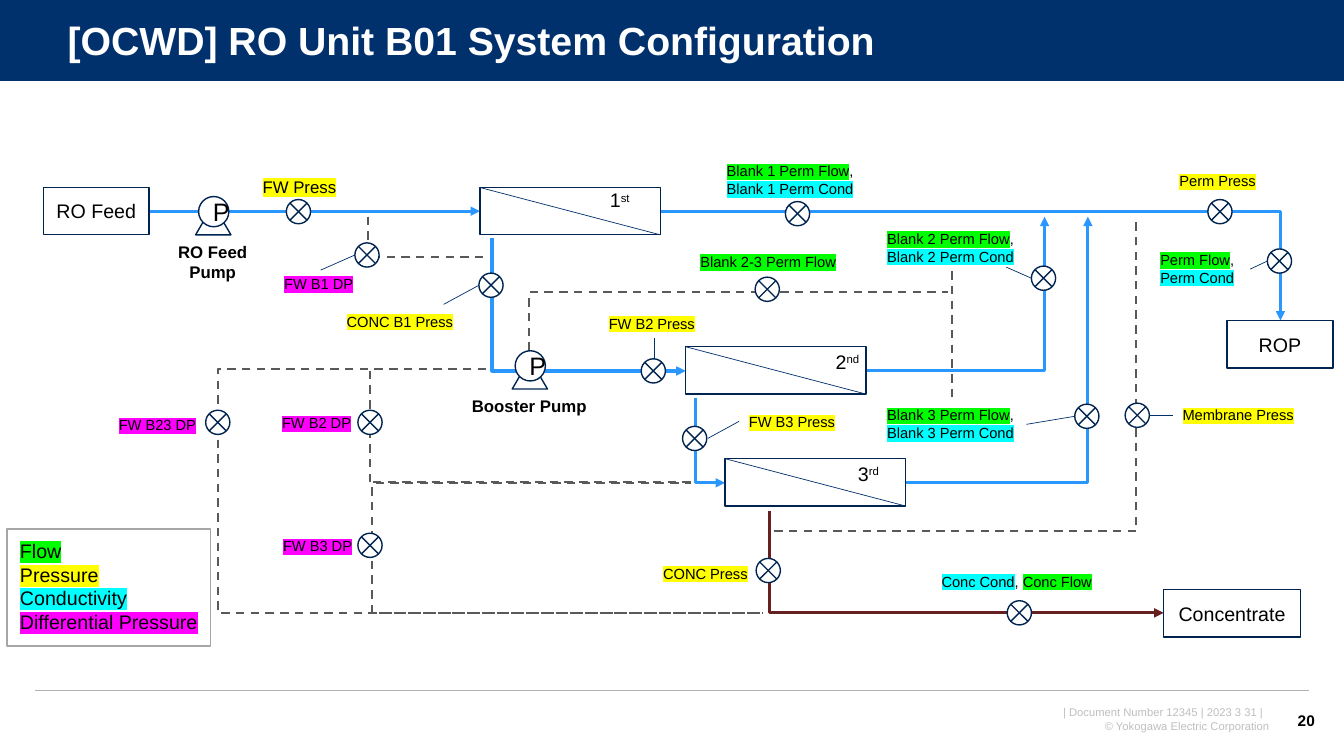
from lxml import etree
from pptx import Presentation
from pptx.dml.color import RGBColor
from pptx.enum import dml, shapes, text
from pptx.oxml import ns
from pptx.util import Inches, Pt

WHITE = RGBColor(0xFF, 0xFF, 0xFF)
BLACK = RGBColor(0, 0, 0)
NAVY = RGBColor(0x00, 0x31, 0x6C)
OUTLINE = RGBColor(0x00, 0x24, 0x50)
WATER = RGBColor(0x2A, 0x97, 0xFF)
BRINE = RGBColor(0x66, 0x20, 0x1F)
SIGNAL = RGBColor(0x59, 0x59, 0x59)
RULE = RGBColor(0xB2, 0xB2, 0xB2)
FRAME = RGBColor(0xA6, 0xA6, 0xA6)
FOOTER = RGBColor(0xBF, 0xBF, 0xBF)
FLOW = RGBColor(0x00, 0xFF, 0x00)
PRESSURE = RGBColor(0xFF, 0xFF, 0x00)
CONDUCTIVITY = RGBColor(0x00, 0xFF, 0xFF)
DIFFERENTIAL = RGBColor(0xFF, 0x00, 0xFF)

LEFT, CENTER, RIGHT = text.PP_ALIGN.LEFT, text.PP_ALIGN.CENTER, text.PP_ALIGN.RIGHT
TOP, MIDDLE = text.MSO_ANCHOR.TOP, text.MSO_ANCHOR.MIDDLE
KIND = shapes.MSO_SHAPE

deck = Presentation()
deck.slide_width, deck.slide_height = Inches(13.33), Inches(7.5)
page = deck.slides.add_slide(deck.slide_layouts[5])


def write(box, lines, size=10.5, color=BLACK, bold=False, align=LEFT, anchor=TOP, wrap=True):
    """Fill box with lines, each a list of (words, highlight colour or None)."""
    frame = box.text_frame
    frame.word_wrap = wrap
    frame.vertical_anchor = anchor
    for number, spans in enumerate(lines):
        para = frame.add_paragraph() if number else frame.paragraphs[0]
        para.alignment = align
        for words, highlight in spans:
            span = para.add_run()
            span.text = words
            span.font.size = Pt(size)
            span.font.bold = bold
            span.font.color.rgb = color
            if highlight is not None:
                mark = etree.SubElement(span._r.get_or_add_rPr(), ns.qn("a:highlight"))
                etree.SubElement(mark, ns.qn("a:srgbClr"), val=str(highlight))
            span.font.name = "Arial"


def route(start, end, color, width, via=None, arrow=False, dash=False):
    """Draw a line; via is its corner, or the x of its middle leg beyond both ends."""
    (x1, y1), (x2, y2) = start, end
    upright = isinstance(via, tuple) and via[0] == x1
    if upright:  # an upright first leg is a level one turned by 270 degrees
        x, y, dx, dy = (x1 + x2) / 2, (y1 + y2) / 2, (x2 - x1) / 2, (y2 - y1) / 2
        x1, y1, x2, y2 = x + dy, y - dx, x - dy, y + dx
    kind = shapes.MSO_CONNECTOR.ELBOW if via else shapes.MSO_CONNECTOR.STRAIGHT
    line = page.shapes.add_connector(kind, *(Inches(v) for v in (x1, y1, x2, y2)))
    line.line.color.rgb = color
    line.line.width = Pt(width)
    properties = line._element.spPr
    geometry = properties.find(ns.qn("a:prstGeom"))
    if isinstance(via, tuple):
        geometry.set("prst", "bentConnector2")
    elif via:
        guide = etree.SubElement(geometry.find(ns.qn("a:avLst")), ns.qn("a:gd"), name="adj1")
        guide.set("fmla", f"val {round((via - x1) / (x2 - x1) * 100000)}")
    if upright:
        properties.find(ns.qn("a:xfrm")).set("rot", str(270 * 60000))
    if dash:
        line.line.dash_style = dml.MSO_LINE.DASH
    if arrow:
        etree.SubElement(properties.find(ns.qn("a:ln")), ns.qn("a:tailEnd"), type="triangle")
    etree.SubElement(properties, ns.qn("a:effectLst"))
    return line


# Page furniture
band = page.shapes.add_shape(KIND.RECTANGLE, 0, 0, deck.slide_width, Inches(0.81))
band.shadow.inherit = False
band.fill.solid()
band.fill.fore_color.rgb = NAVY
band.line.fill.background()
title = page.shapes.title
title.left, title.top, title.width, title.height = (Inches(v) for v in (0.57, 0.14, 12.47, 0.57))
write(title, [[("[OCWD] RO Unit B01 System Configuration", None)]], size=28, color=WHITE,
      bold=True, anchor=MIDDLE)
title.text_frame.paragraphs[0].line_spacing = 0.9
page.shapes._spTree.append(title._element)
route((0, 0.81), (13.33, 0.81), WHITE, 0.75)
route((0.35, 6.85), (12.98, 6.85), RULE, 1)
footer = page.shapes.add_textbox(Inches(9.48), Inches(6.95), Inches(3.21), Inches(0.37))
write(footer, [[("| Document Number 12345 | 2023 3 31 |  ", None)],
               [("© Yokogawa Electric Corporation", None)]], size=8, color=FOOTER, align=RIGHT)
page_number = page.shapes.add_textbox(Inches(12.7), Inches(6.95), Inches(0.44), Inches(0.4))
write(page_number, [[("20", None)]], size=11, bold=True, align=RIGHT, anchor=MIDDLE, wrap=False)

# Signal lines, then pipes
for start, end, via in [
    ((4.82, 3.66), (6.85, 4.79), 3.67),
    ((6.85, 4.78), (7.57, 6.08), 3.69),
    ((4.82, 3.66), (7.57, 6.08), 2.16),
    ((7.68, 5.27), (11.27, 2.15), (11.27, 5.27)),
    ((3.65, 2.15), (4.83, 2.55), (3.65, 2.55)),
    ((5.25, 3.48), (9.4, 2.9), (5.25, 2.9)),
    ((9.44, 2.69), (9.44, 3.98), None),
]:
    route(start, end, SIGNAL, 1.5, via=via, dash=True)
for start, end, via, color in [
    ((6.9, 3.95), (7.19, 4.79), (6.9, 4.79), WATER),
    ((6.54, 2.1), (12.7, 3.18), (12.7, 2.1), WATER),
    ((4.88, 2.36), (6.8, 3.68), (4.88, 3.68), WATER),
    ((8.59, 3.68), (10.36, 2.15), (10.36, 3.68), WATER),
    ((8.98, 4.79), (10.79, 2.15), (10.79, 4.79), WATER),
    ((7.63, 5.07), (11.54, 6.08), (7.63, 6.08), BRINE),
]:
    route(start, end, color, 2.25, via=via, arrow=True)
feed_pipe = route((1.48, 2.1), (4.76, 2.1), WATER, 2.25, arrow=True)

# Stages, tanks, pumps and valves
stages = [(4.76, 1.86), (6.8, 3.44), (7.19, 4.55)]
pumps = [(1.94, 1.95), (5.08, 3.48)]
valves = [
    (2.84, 1.98), (3.52, 2.41), (6.36, 3.56), (3.55, 4.07), (6.77, 4.23), (4.75, 2.71),
    (7.5, 5.54), (11.16, 4), (12.57, 2.47), (9.99, 5.96), (10.23, 2.64), (10.66, 4.01),
    (7.79, 2), (11.98, 1.98), (7.49, 2.75), (3.55, 5.29), (2.04, 4.07),
]
symbols = [(KIND.RECTANGLE, x, y, 1.79, 0.47, "", 14) for x, y in stages]
symbols += [
    (KIND.RECTANGLE, 0.43, 1.86, 1.05, 0.47, "RO Feed", 14),
    (KIND.RECTANGLE, 12.17, 3.18, 1.05, 0.47, "ROP", 14),
    (KIND.RECTANGLE, 11.54, 5.85, 1.36, 0.47, "Concentrate", 14),
]
for x, y in pumps:
    symbols += [(KIND.ISOSCELES_TRIANGLE, x, y + 0.08, 0.35, 0.3, "", 18),
                (KIND.OVAL, x + 0.03, y, 0.3, 0.3, "P", 18)]
symbols += [(KIND.FLOWCHART_SUMMING_JUNCTION, x, y, 0.24, 0.24, "", 12) for x, y in valves]
drawn = []
for kind, x, y, width, height, words, size in symbols:
    symbol = page.shapes.add_shape(kind, Inches(x), Inches(y), Inches(width), Inches(height))
    symbol.shadow.inherit = False
    symbol.fill.solid()
    symbol.fill.fore_color.rgb = WHITE
    symbol.line.color.rgb = OUTLINE
    symbol.line.width = Pt(1)
    if words:
        write(symbol, [[(words, None)]], size=size, align=CENTER, anchor=MIDDLE)
    drawn.append(symbol)
feed_pipe.begin_connect(drawn[len(stages)], 3)
feed_pipe.end_connect(drawn[0], 1)

# Stage diagonals and label leaders
leaders = [((x, y), (x + 1.79, y + 0.47)) for x, y in stages]
leaders += [
    ((3.18, 2.68), (3.52, 2.53)), ((6.49, 3.56), (6.49, 3.35)), ((12.4, 2.67), (12.57, 2.59)),
    ((9.98, 2.65), (10.23, 2.76)), ((4.75, 2.83), (4.4, 3.02)), ((11.4, 4.12), (11.63, 4.12)),
    ((10.66, 4.13), (10.18, 4.21)), ((7.02, 4.35), (7.33, 4.18)),
]
for start, end in leaders:
    route(start, end, NAVY, 0.5)

# Labels
for x, y, width, words, highlight, style in [
    (1.51, 2.35, 1.2, "RO Feed Pump", None, dict(size=12, bold=True, align=CENTER)),
    (4.51, 3.88, 1.48, "Booster Pump", None, dict(size=12, bold=True, align=CENTER)),
    (2.49, 1.7, 0.96, "FW Press", PRESSURE, dict(size=12, align=CENTER)),
    (2.72, 2.68, 0.93, "FW B1 DP", DIFFERENTIAL, {}),
    (2.7, 4.06, 0.93, "FW B2 DP", DIFFERENTIAL, {}),
    (2.71, 5.28, 0.93, "FW B3 DP", DIFFERENTIAL, {}),
    (1.08, 4.08, 1.01, "FW B23 DP", DIFFERENTIAL, {}),
    (3.34, 3.05, 1.36, "CONC B1 Press", PRESSURE, {}),
    (5.94, 3.07, 1.1, "FW B2 Press", PRESSURE, {}),
    (7.33, 4.05, 1.06, "FW B3 Press", PRESSURE, {}),
    (6.48, 5.55, 1.1, "CONC Press", PRESSURE, {}),
    (11.63, 3.98, 1.35, "Membrane Press", PRESSURE, {}),
    (11.6, 1.66, 1, "Perm Press", PRESSURE, {}),
    (6.82, 2.46, 1.6, "Blank 2-3 Perm Flow", FLOW, dict(align=CENTER)),
]:
    label = page.shapes.add_textbox(Inches(x), Inches(y), Inches(width), Inches(0.28))
    write(label, [[(words, highlight)]], **style)
for x, y, width, prefix in [(11.41, 2.44, 1, ""), (7.11, 1.56, 1.6, "Blank 1 "),
                            (8.7, 2.23, 1.48, "Blank 2 "), (8.7, 3.98, 1.48, "Blank 3 ")]:
    label = page.shapes.add_textbox(Inches(x), Inches(y), Inches(width), Inches(0.45))
    write(label, [[(prefix + "Perm Flow", FLOW), (",", None)],
                  [(prefix + "Perm Cond", CONDUCTIVITY)]])
concentrate = page.shapes.add_textbox(Inches(9.24), Inches(5.63), Inches(1.77), Inches(0.28))
write(concentrate, [[("Conc Cond", CONDUCTIVITY), (", ", None), ("Conc Flow", FLOW)]])
for x, y, digit, suffix in [(5.95, 1.82, "1", "st"), (8.19, 3.42, "2", "nd"),
                            (8.41, 4.53, "3", "rd")]:
    ordinal = page.shapes.add_textbox(Inches(x), Inches(y), Inches(0.48), Inches(0.34))
    write(ordinal, [[(digit, None), (suffix, None)]], size=14)
    raised = ordinal.text_frame.paragraphs[0].runs[1]
    raised._r.get_or_add_rPr().set("baseline", "30000")

# Legend
legend = page.shapes.add_textbox(Inches(0.1), Inches(5.3), Inches(2.14), Inches(1.04))
write(legend, [[("Flow", FLOW)], [("Pressure", PRESSURE)], [("Conductivity", CONDUCTIVITY)],
               [("Differential Pressure", DIFFERENTIAL)]], size=14)
border = page.shapes.add_shape(KIND.RECTANGLE, Inches(0.07), Inches(5.25), Inches(2.02), Inches(1.16))
border.shadow.inherit = False
border.fill.background()
border.line.color.rgb = FRAME
border.line.width = Pt(1)

deck.save("out.pptx")
